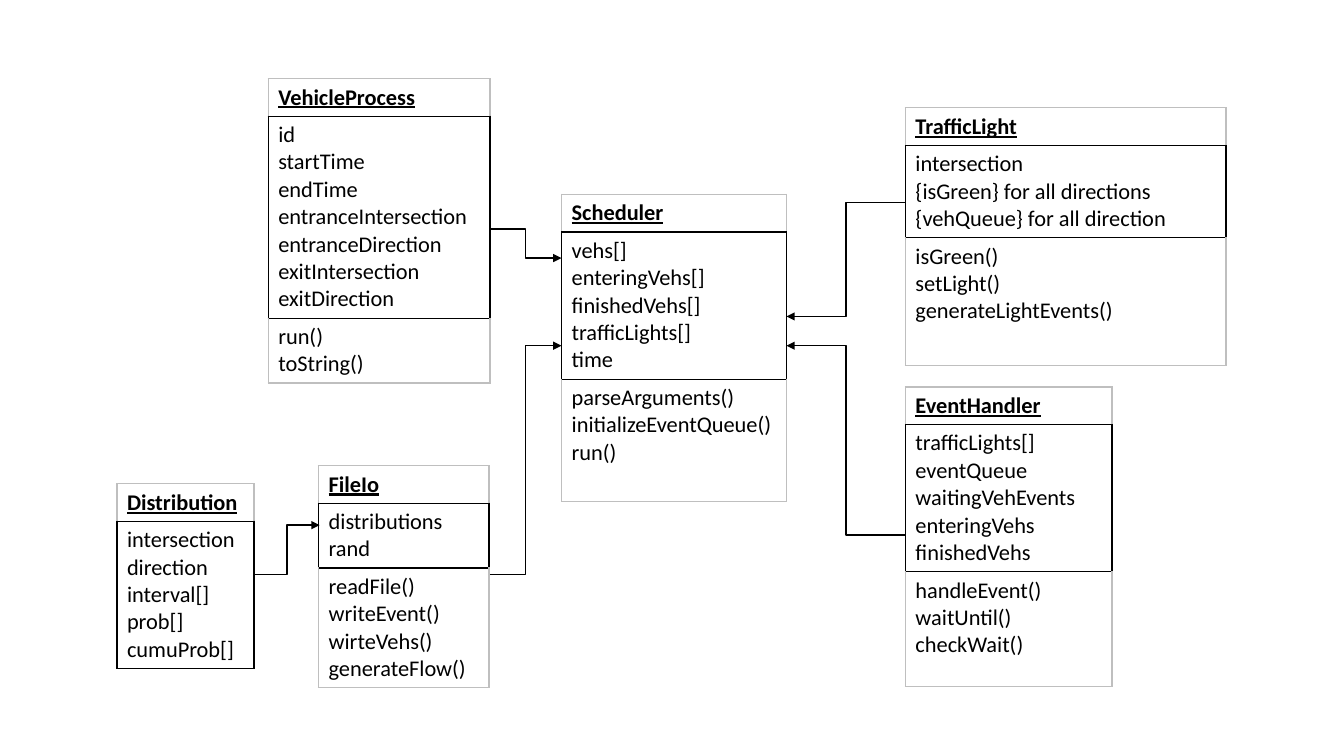
from dataclasses import dataclass

from lxml.etree import SubElement
from pptx import Presentation
from pptx.dml.color import RGBColor
from pptx.enum.shapes import MSO_CONNECTOR as Connector
from pptx.oxml.ns import qn
from pptx.util import Inches, Pt


@dataclass(frozen=True)
class Theme:
    font: str = "Calibri"
    size: int = 16
    ink: str = "000000"
    frame: str = "BFBFBF"
    line: int = 1
    line_step: float = 0.272
    cell_padding: float = 0.1


THEME = Theme()

CLASSES = [
    {"name": "VehicleProcess", "at": (2.66, 0.78), "width": 2.2, "last": 0.46,
     "fields": ["id", "startTime", "endTime", "entranceIntersection",
                "entranceDirection", "exitIntersection", "exitDirection"],
     "methods": ["run()", "toString()"]},
    {"name": "TrafficLight", "at": (8.98, 1.07), "width": 3.18, "last": 1.27,
     "fields": ["intersection", "{isGreen} for all directions",
                "{vehQueue} for all direction"],
     "methods": ["isGreen()", "setLight()", "generateLightEvents()"]},
    {"name": "FileIo", "at": (3.16, 4.62), "width": 1.69, "last": 0.78,
     "fields": ["distributions", "rand"],
     "methods": ["readFile()", "writeEvent()", "wirteVehs()", "generateFlow()"]},
    {"name": "Distribution", "at": (1.16, 4.8), "width": 1.36, "last": 1.42,
     "fields": ["intersection", "direction", "interval[]", "prob[]", "cumuProb[]"],
     "methods": []},
    {"name": "Scheduler", "at": (5.57, 1.93), "width": 2.23, "last": 1.21,
     "fields": ["vehs[]", "enteringVehs[]", "finishedVehs[]", "trafficLights[]", "time"],
     "methods": ["parseArguments()", "initializeEventQueue()", "run()"]},
    {"name": "EventHandler", "at": (8.98, 3.84), "width": 2.05, "last": 1.14,
     "fields": ["trafficLights[]", "eventQueue", "waitingVehEvents",
                "enteringVehs", "finishedVehs"],
     "methods": ["handleEvent()", "waitUntil()", "checkWait()"]},
]

ARROWS = [
    ((8.98, 2.01), (7.8, 3.14)),
    ((4.86, 5.7), (5.57, 3.43)),
    ((2.52, 5.7), (3.17, 5.21)),
    ((4.86, 2.27), (5.57, 2.56)),
    ((8.98, 5.31), (7.8, 3.43)),
]


def set_borders(cell, colors):
    properties = cell._tc.get_or_add_tcPr()
    for side, color in zip("LRTB", colors):
        line = SubElement(properties, qn(f"a:ln{side}"), w=str(Pt(THEME.line)))
        fill = SubElement(line, qn("a:solidFill"))
        SubElement(fill, qn("a:srgbClr"), val=color)


def write_cell(cell, lines, heading):
    cell.text_frame.text = "\n".join(lines)
    for para in cell.text_frame.paragraphs:
        for span in para.runs:
            span.font.name = THEME.font
            span.font.size = Pt(THEME.size)
            span.font.color.rgb = RGBColor.from_string(THEME.ink)
            span.font.bold = heading
            span.font.underline = heading


def add_class(page, item):
    sections = [part for part in ([item["name"]], item["fields"], item["methods"]) if part]
    heights = [len(part) * THEME.line_step + THEME.cell_padding for part in sections]
    heights[-1] = max(heights[-1], item["last"])
    left, top = item["at"]
    table = page.shapes.add_table(
        len(sections), 1, Inches(left), Inches(top),
        Inches(item["width"]), Inches(sum(heights))).table
    table.first_row = False
    table.horz_banding = False
    for index, (lines, height) in enumerate(zip(sections, heights)):
        table.rows[index].height = Inches(height)
        cell = table.cell(index, 0)
        write_cell(cell, lines, heading=index == 0)
        side = THEME.ink if index == 1 else THEME.frame
        upper = THEME.frame if index == 0 else THEME.ink
        lower = THEME.frame if index == 2 else THEME.ink
        set_borders(cell, (side, side, upper, lower))
        cell.fill.background()


def add_arrow(page, start, end):
    arrow = page.shapes.add_connector(
        Connector.ELBOW, *(Inches(value) for value in start + end))
    arrow.line.color.rgb = RGBColor.from_string(THEME.ink)
    arrow.line.width = Pt(THEME.line)
    SubElement(arrow.line._get_or_add_ln(), qn("a:tailEnd"), type="triangle")
    SubElement(arrow._element.spPr, qn("a:effectLst"))


def main():
    deck = Presentation()
    deck.slide_width = Inches(13.33)
    deck.slide_height = Inches(7.5)
    page = deck.slides.add_slide(deck.slide_layouts[6])
    for item in CLASSES:
        add_class(page, item)
    for start, end in ARROWS:
        add_arrow(page, start, end)
    deck.save("out.pptx")


if __name__ == "__main__":
    main()
